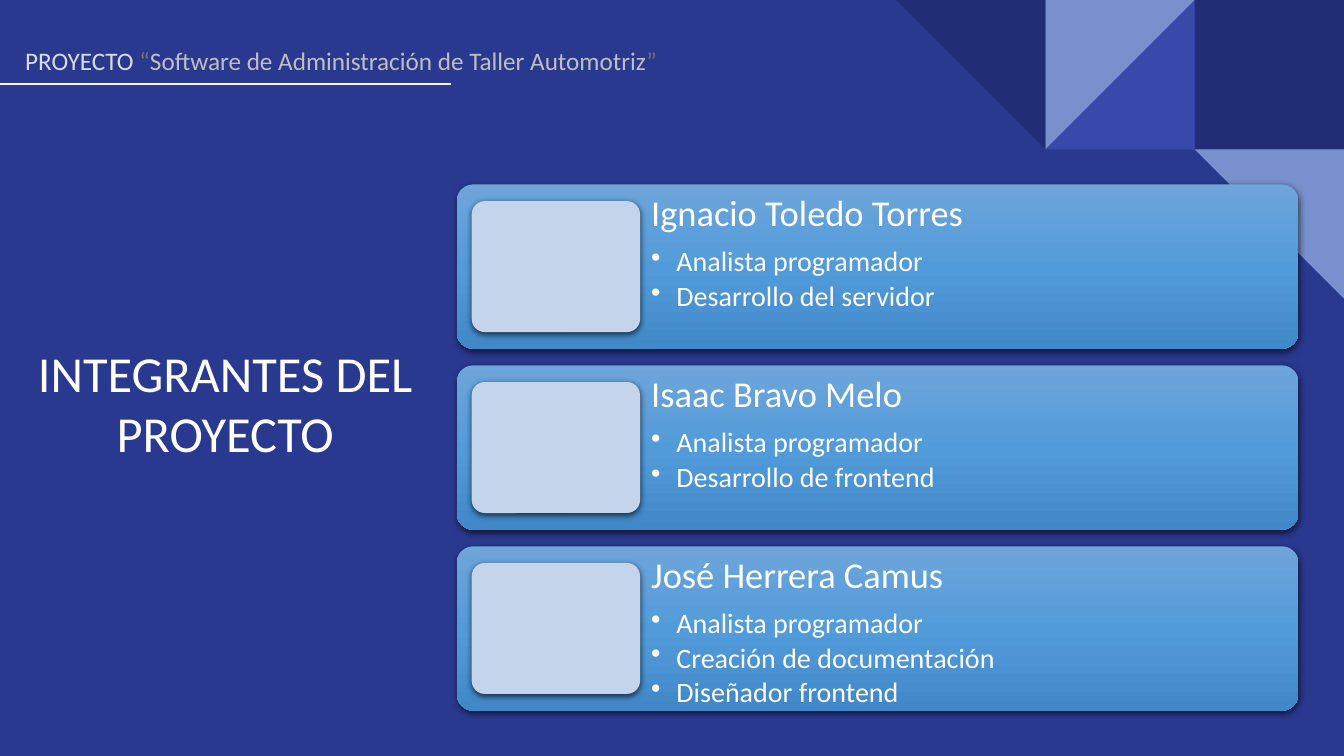
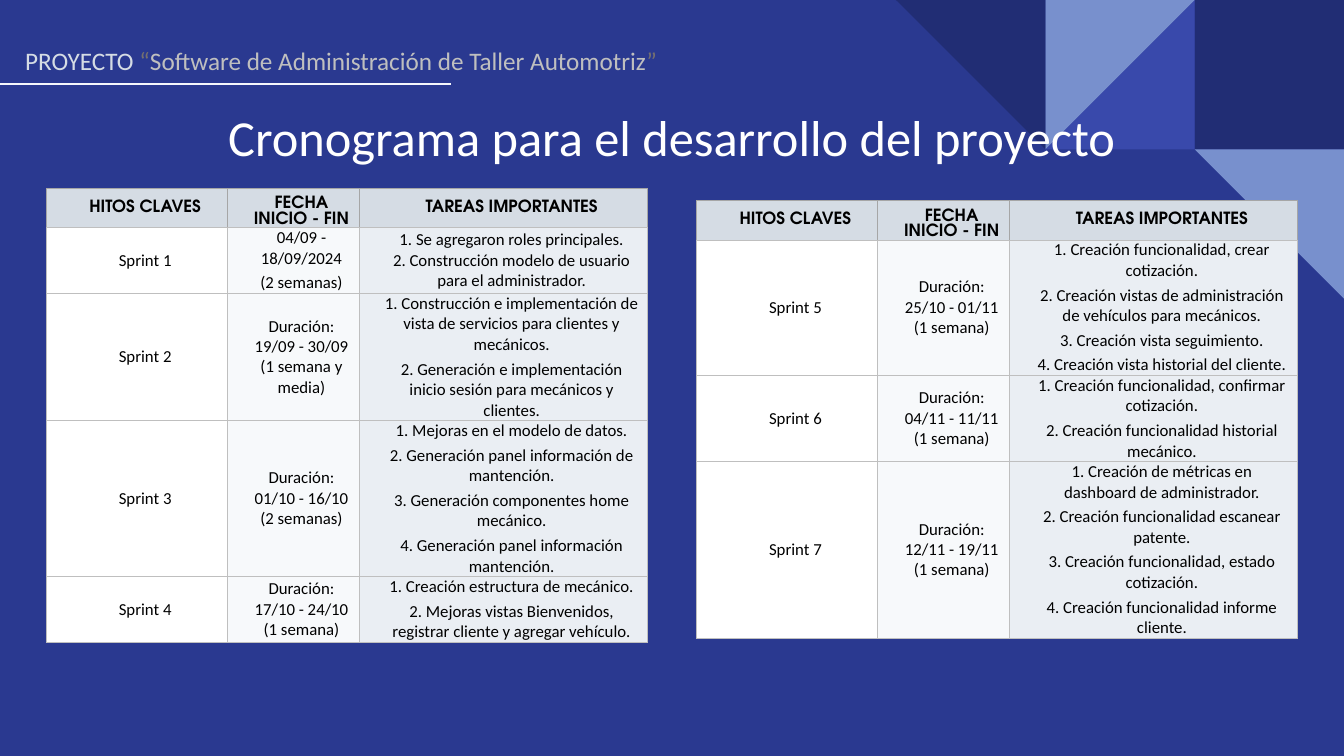
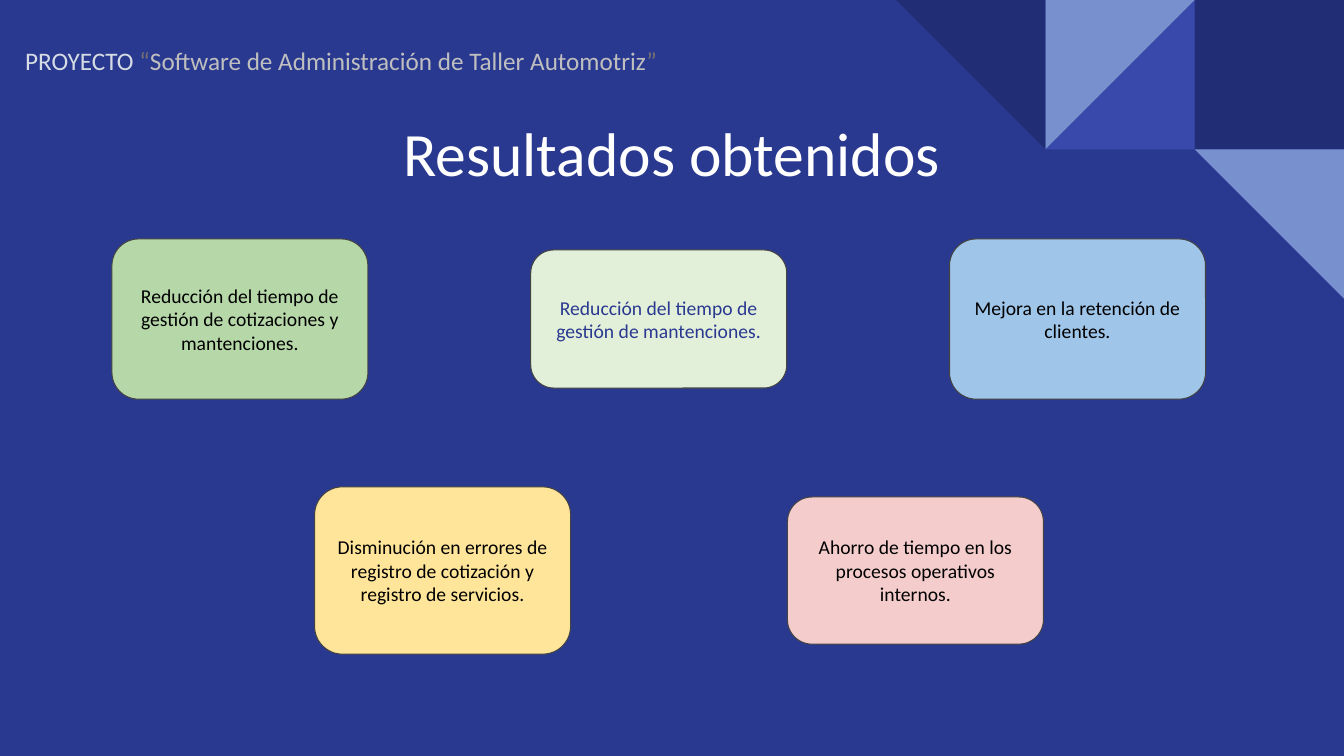
import copy
from dataclasses import dataclass
from typing import Any, NamedTuple

import pptx
import pptx.dml.color
import pptx.enum.shapes
import pptx.enum.text
import pptx.oxml
import pptx.oxml.ns
import pptx.util

RGB = pptx.dml.color.RGBColor
Pt = pptx.util.Pt
Inches = pptx.util.Inches
Kind = pptx.enum.shapes.MSO_SHAPE
Align = pptx.enum.text.PP_ALIGN
Anchor = pptx.enum.text.MSO_ANCHOR
qn = pptx.oxml.ns.qn

WIDE, HIGH = Inches(13.33), Inches(7.5)
TILE = WIDE // 9
FACE, HEAD_FACE = "Calibri", "TeX Gyre Adventor"

BLUE = RGB(0x2A, 0x39, 0x90)
NAVY = RGB(0x21, 0x2D, 0x74)
ROYAL = RGB(0x39, 0x49, 0xAB)
SKY = RGB(0x78, 0x90, 0xCD)
WHITE = RGB(0xFF, 0xFF, 0xFF)
BLACK = RGB(0x00, 0x00, 0x00)
MIST = RGB(0xD5, 0xDC, 0xE4)
STONE = RGB(0x75, 0x70, 0x70)
SILVER = RGB(0xBF, 0xBF, 0xBF)
STEEL = RGB(0xA6, 0xA6, 0xA6)
CHALK = RGB(0xF5, 0xF7, 0xFC)
COAL = RGB(0x43, 0x43, 0x43)
PHOTO = RGB(0xC3, 0xD4, 0xEB)
SHADES = [RGB(0x6E, 0xA5, 0xDA), RGB(0x52, 0x9B, 0xDA), RGB(0x41, 0x88, 0xC8)]
CELLS = [WHITE, RGB(0xF7, 0xF9, 0xFB), RGB(0xEA, 0xEE, 0xF3)]
GREEN = RGB(0xB6, 0xD7, 0xA8)
MINT = RGB(0xE2, 0xEF, 0xD9)
AZURE = RGB(0x9F, 0xC5, 0xE8)
GOLD = RGB(0xFF, 0xE5, 0x99)
ROSE = RGB(0xF4, 0xCC, 0xCC)


class Box(NamedTuple):
    """Left, top, width and height in percent of the slide."""
    x: float
    y: float
    w: float
    h: float

    def size(self) -> list[int]:
        return [round(part * full / 100)
                for part, full in zip(self, (WIDE, HIGH, WIDE, HIGH))]


class Tile(NamedTuple):
    col: int
    row: int
    kind: Any
    turn: int
    fill: RGB


class Member(NamedTuple):
    name: str
    roles: list[str]


@dataclass
class Sprint:
    name: str
    dates: list[str]
    tasks: list[str]
    date_gap: float = 0
    task_gap: float = 3


class Plan(NamedTuple):
    x: float
    y: float
    sprints: list[Sprint]


class Result(NamedTuple):
    text: str
    fill: RGB
    high: float
    ink: RGB = BLACK


class Band(NamedTuple):
    """A row of results centred on one height, at equal steps."""
    left: float
    step: float
    mid: float
    items: list[Result]


TILES = [
    Tile(8, 0, Kind.RECTANGLE, 0, NAVY),
    Tile(7, 0, Kind.RIGHT_TRIANGLE, 270, ROYAL),
    Tile(7, 0, Kind.RIGHT_TRIANGLE, 90, SKY),
    Tile(6, 0, Kind.RIGHT_TRIANGLE, 180, NAVY),
    Tile(8, 1, Kind.RIGHT_TRIANGLE, 180, SKY),
]
BANNER = [("PROYECTO ", MIST), ("“", STONE),
          ("Software de Administración de Taller Automotriz", SILVER),
          ("”", STONE)]
TEAM = [
    Member("Ignacio Toledo Torres",
           ["Analista programador", "Desarrollo del servidor"]),
    Member("Isaac Bravo Melo",
           ["Analista programador", "Desarrollo de frontend"]),
    Member("José Herrera Camus",
           ["Analista programador", "Creación de documentación",
            "Diseñador frontend"]),
]
HEADS = ["HITOS CLAVES", "FECHA INICIO - FIN", "TAREAS IMPORTANTES"]
COLS = [13.43, 9.83, 21.45]
PLANS = [
    Plan(3.45, 24.93, [
        Sprint("Sprint 1", ["04/09 - 18/09/2024", "(2 semanas)"],
               ["1. Se agregaron roles principales.",
                "2. Construcción modelo de usuario para el administrador."],
               date_gap=3, task_gap=0),
        Sprint("Sprint 2", ["Duración: 19/09 - 30/09", "(1 semana y media)"],
               ["1. Construcción e implementación de vista de servicios "
                "para clientes y mecánicos.",
                "2. Generación e implementación inicio sesión para "
                "mecánicos y clientes."]),
        Sprint("Sprint 3", ["Duración: 01/10 - 16/10", "(2 semanas)"],
               ["1. Mejoras en el modelo de datos.",
                "2. Generación panel información de mantención.",
                "3. Generación componentes home mecánico.",
                "4. Generación panel información mantención."]),
        Sprint("Sprint 4", ["Duración: 17/10 - 24/10", "(1 semana)"],
               ["1. Creación estructura de mecánico.",
                "2. Mejoras vistas Bienvenidos, registrar cliente y "
                "agregar vehículo."]),
    ]),
    Plan(51.83, 26.53, [
        Sprint("Sprint 5", ["Duración: 25/10 - 01/11", "(1 semana)"],
               ["1. Creación funcionalidad, crear cotización.",
                "2. Creación vistas de administración de vehículos para "
                "mecánicos.",
                "3. Creación vista seguimiento.",
                "4. Creación vista historial del cliente."]),
        Sprint("Sprint 6", ["Duración: 04/11 - 11/11", "(1 semana)"],
               ["1. Creación funcionalidad, confirmar cotización.",
                "2. Creación funcionalidad historial mecánico."]),
        Sprint("Sprint 7", ["Duración: 12/11 - 19/11", "(1 semana)"],
               ["1. Creación de métricas en dashboard de administrador.",
                "2. Creación funcionalidad escanear patente.",
                "3. Creación funcionalidad, estado cotización.",
                "4. Creación funcionalidad informe cliente."]),
    ]),
]
BANDS = [
    Band(8.33, 31.16, 42.2, [
        Result("Reducción del tiempo de gestión de cotizaciones y "
               "mantenciones.", GREEN, 21.2),
        Result("Reducción del tiempo de gestión de mantenciones.",
               MINT, 18.27, BLUE),
        Result("Mejora en la retención de clientes.", AZURE, 21.2),
    ]),
    Band(23.41, 35.18, 75.47, [
        Result("Disminución en errores de registro de cotización y "
               "registro de servicios.", GOLD, 22.13),
        Result("Ahorro de tiempo en los procesos operativos internos.",
               ROSE, 19.47),
    ]),
]


def put(thing: Any, **values: Any) -> None:
    for name, value in values.items():
        setattr(thing, name, value)


def pad(frame: Any, side: float, top: float, anchor: Any) -> None:
    put(frame, word_wrap=True, vertical_anchor=anchor,
        auto_size=pptx.enum.text.MSO_AUTO_SIZE.NONE,
        margin_left=Inches(side), margin_right=Inches(side),
        margin_top=Inches(top), margin_bottom=Inches(top))


def write(line: Any, text: str, size: float, ink: RGB,
          face: str = FACE, bold: bool = False) -> None:
    run = line.add_run()
    run.text = text
    put(run.font, size=Pt(size), name=face, bold=bold)
    run.font.color.rgb = ink


def next_line(frame: Any, first: bool) -> Any:
    return frame.paragraphs[0] if first else frame.add_paragraph()


def draw(slide: Any, kind: Any, place: list[int], fill: RGB | None) -> Any:
    """Add a flat shape without outline."""
    shape = slide.shapes.add_shape(kind, *place)
    shape.shadow.inherit = False
    shape.line.fill.background()
    if fill is not None:
        shape.fill.solid()
        shape.fill.fore_color.rgb = fill
    return shape


def set_theme(deck: Any, layout: Any) -> None:
    back = deck.slide_master.background.fill
    back.solid()
    back.fore_color.rgb = BLUE
    for holder in list(layout.placeholders):
        if holder.placeholder_format.idx:
            layout.shapes.element.remove(holder.element)


def add_corner(slide: Any, layout: Any) -> None:
    """Draw the corner tiles and move them to the layout."""
    shapes = []
    for tile in TILES:
        place = [TILE * tile.col, TILE * tile.row, TILE, TILE]
        shape = draw(slide, tile.kind, place, tile.fill)
        shape.rotation = tile.turn
        shapes.append(shape)
    for shape in shapes:
        layout.shapes.element.append(shape.element)


def dress(slide: Any, title: str, box: Box, size: float) -> None:
    """Format the title and add the project banner."""
    holder = slide.shapes.title
    put(holder, **dict(zip(("left", "top", "width", "height"), box.size())))
    pad(holder.text_frame, 0.1, 0.05, Anchor.TOP)
    line = holder.text_frame.paragraphs[0]
    line.alignment = Align.CENTER
    write(line, title, size, WHITE)
    banner = slide.shapes.add_textbox(*Box(1.13, 5.33, 98.2, 9.47).size())
    pad(banner.text_frame, 0.1, 0.05, Anchor.TOP)
    for text, ink in BANNER:
        write(banner.text_frame.paragraphs[0], text, 18, ink)


def add_rule(slide: Any) -> None:
    x, y, w, _ = Box(0, 11.07, 33.53, 0).size()
    rule = slide.shapes.add_connector(
        pptx.enum.shapes.MSO_CONNECTOR.STRAIGHT, x, y, x + w, y)
    rule.line.width = Pt(1.25)
    rule.line.color.rgb = CHALK
    rule.element.spPr.append(pptx.oxml.parse_xml(
        f'<a:effectLst {pptx.oxml.ns.nsdecls("a")}/>'))


def lift(shape: Any) -> None:
    """Give a shape a soft shadow below it."""
    shape.element.spPr.find(qn("a:effectLst")).append(pptx.oxml.parse_xml(
        f'<a:outerShdw {pptx.oxml.ns.nsdecls("a")} blurRad="57150" '
        'dist="19050" dir="5400000" algn="ctr" rotWithShape="0">'
        '<a:srgbClr val="000000"><a:alpha val="63000"/></a:srgbClr>'
        '</a:outerShdw>'))


def shade(shape: Any) -> None:
    """Fill a shape with the three-stop gradient, top to bottom."""
    shape.fill.gradient()
    shape.fill.gradient_angle = 270
    stops = shape.element.spPr.find(".//" + qn("a:gsLst"))
    stops.append(copy.deepcopy(stops[0]))
    for i, stop in enumerate(shape.fill.gradient_stops):
        stop.position = i / 2
        stop.color.rgb = SHADES[i]


def add_member(slide: Any, member: Member, y: float) -> None:
    card = draw(slide, Kind.ROUNDED_RECTANGLE,
                Box(33.98, y, 62.63, 21.73).size(), None)
    shade(card)
    photo = draw(slide, Kind.ROUNDED_RECTANGLE,
                 Box(35.1, y + 2.2, 12.53, 17.33).size(), PHOTO)
    for shape in (card, photo):
        shape.adjustments[0] = 0.1
        lift(shape)
    label = slide.shapes.add_textbox(*Box(47.63, y, 48.98, 21.73).size())
    frame = label.text_frame
    pad(frame, 0.11, 0.11, Anchor.TOP)
    frame.paragraphs[0].line_spacing = 0.9
    write(frame.paragraphs[0], member.name, 26, WHITE)
    for i, role in enumerate(member.roles):
        line = frame.add_paragraph()
        put(line, level=1, line_spacing=0.9, space_before=Pt(3 if i else 9.1))
        props = line._p.get_or_add_pPr()
        props.set("marL", str(Inches(0.25)))
        props.set("indent", str(-Inches(0.25)))
        props.append(pptx.oxml.parse_xml(
            f'<a:buChar {pptx.oxml.ns.nsdecls("a")} char="•"/>'))
        write(line, role, 20, WHITE)


def fill_cell(cell: Any, lines: list[str], fill: RGB, edge: RGB,
              before: float, after: float, head: bool = False) -> None:
    put(cell, margin_left=Inches(0.25), margin_right=Inches(0.08),
        margin_top=0, margin_bottom=0, vertical_anchor=Anchor.MIDDLE)
    props = cell._tc.get_or_add_tcPr()
    for side in "LRTB":
        props.append(pptx.oxml.parse_xml(
            f'<a:ln{side} {pptx.oxml.ns.nsdecls("a")} w="{Pt(0.5)}">'
            f'<a:solidFill><a:srgbClr val="{edge}"/></a:solidFill>'
            f'</a:ln{side}>'))
    cell.fill.solid()
    cell.fill.fore_color.rgb = fill
    for i, text in enumerate(lines):
        line = next_line(cell.text_frame, i == 0)
        put(line, alignment=Align.CENTER, space_before=Pt(before))
        write(line, text, 12, BLACK, HEAD_FACE if head else FACE, head)
    line.space_after = Pt(after)


def add_plan(slide: Any, plan: Plan) -> None:
    count = len(plan.sprints)
    box = Box(plan.x, plan.y, sum(COLS), 5.2 + 8 * count)
    table = slide.shapes.add_table(count + 1, len(COLS), *box.size()).table
    put(table, first_row=False, horz_banding=False)
    for col, share in zip(table.columns, COLS):
        col.width = round(WIDE * share / 100)
    for i, row in enumerate(table.rows):
        row.height = round(HIGH * (8 if i else 5.2) / 100)
    for i, text in enumerate(HEADS):
        gap = 3 if i < 2 else 0
        fill_cell(table.cell(0, i), [text], MIST, STEEL, gap, gap, True)
    table.cell(0, 1).vertical_anchor = Anchor.BOTTOM
    for i, sprint in enumerate(plan.sprints, 1):
        parts = [([sprint.name], 3, 3),
                 (sprint.dates, sprint.date_gap, sprint.date_gap),
                 (sprint.tasks, sprint.task_gap, 0)]
        for j, (lines, before, after) in enumerate(parts):
            fill_cell(table.cell(i, j), lines, CELLS[j], SILVER,
                      before, after)


def add_band(slide: Any, band: Band) -> None:
    for i, item in enumerate(band.items):
        box = Box(band.left + i * band.step, band.mid - item.high / 2,
                  19.05, item.high)
        note = draw(slide, Kind.ROUNDED_RECTANGLE, box.size(), item.fill)
        note.line.color.rgb = COAL
        note.line.width = Pt(0.75)
        pad(note.text_frame, 0.1, 0.1, Anchor.MIDDLE)
        line = note.text_frame.paragraphs[0]
        line.alignment = Align.CENTER
        write(line, item.text, 14, item.ink)


def main() -> None:
    deck = pptx.Presentation()
    put(deck, slide_width=WIDE, slide_height=HIGH)
    layout = deck.slide_layouts[5]
    set_theme(deck, layout)
    team, dates, gains = [deck.slides.add_slide(layout) for _ in range(3)]
    add_corner(team, layout)

    dress(team, "INTEGRANTES DEL PROYECTO", Box(1.95, 44.53, 29.63, 17.47), 36)
    add_rule(team)
    for i, member in enumerate(TEAM):
        add_member(team, member, 24.4 + 23.93 * i)

    dress(dates, "Cronograma para el desarrollo del proyecto",
          Box(0, 13.33, 100, 11.73), 36)
    add_rule(dates)
    for plan in PLANS:
        add_plan(dates, plan)

    dress(gains, "Resultados obtenidos", Box(0, 14.53, 100, 11.2), 44)
    for band in BANDS:
        add_band(gains, band)
    deck.save("out.pptx")


if __name__ == "__main__":
    main()
